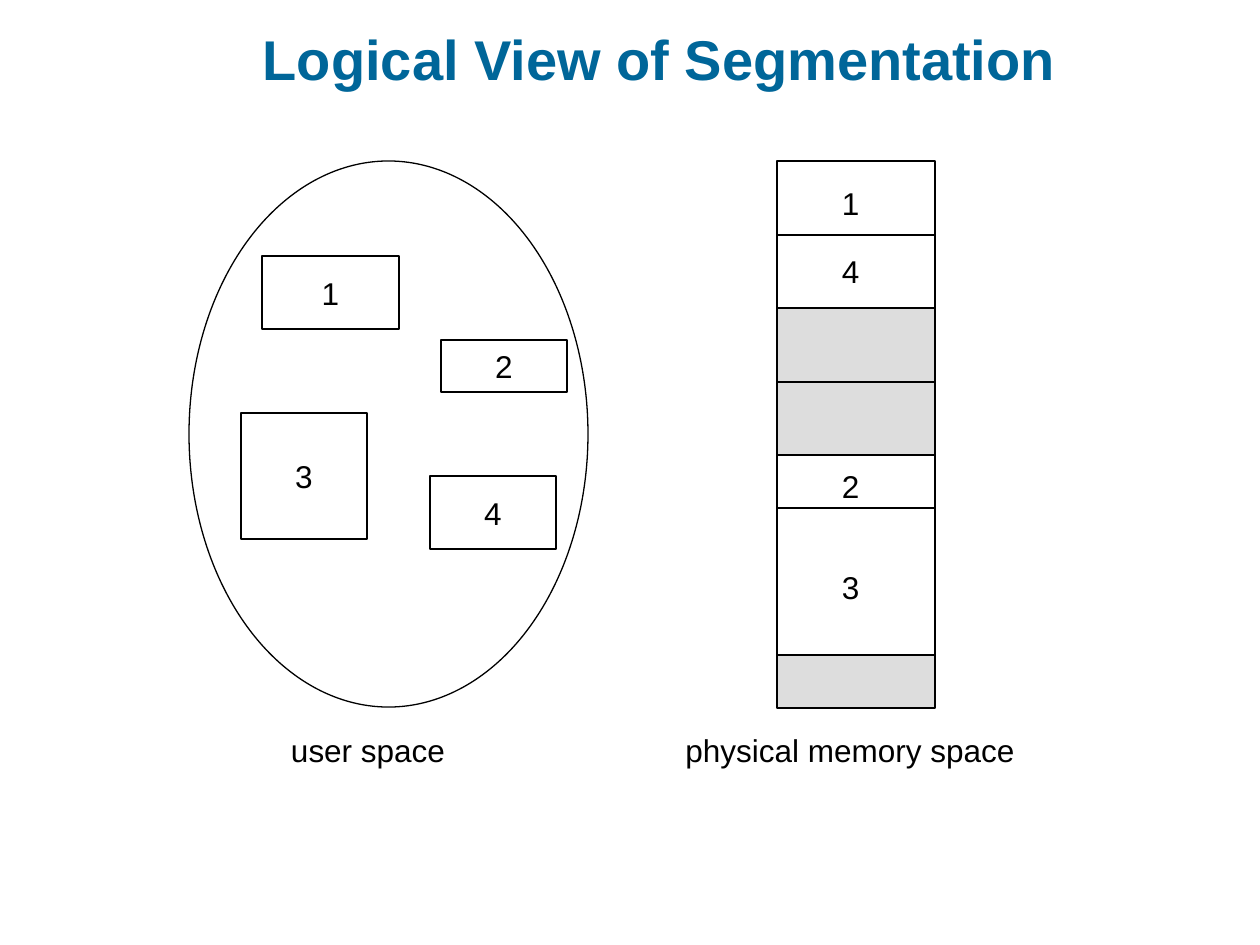
from dataclasses import dataclass

from lxml.etree import SubElement
from pptx import Presentation
from pptx.dml.color import RGBColor
from pptx.enum.shapes import MSO_CONNECTOR as Connector, MSO_SHAPE as Preset
from pptx.enum.text import MSO_ANCHOR as Anchor, MSO_AUTO_SIZE as AutoSize, PP_ALIGN as Align
from pptx.oxml.ns import qn
from pptx.util import Pt

EMU_PER_PX = 914400 / 126


@dataclass(frozen=True)
class Theme:
    font: str = "Arial"
    title_color: RGBColor = RGBColor(0x00, 0x66, 0x99)
    ink: RGBColor = RGBColor(0x00, 0x00, 0x00)
    paper: RGBColor = RGBColor(0xFF, 0xFF, 0xFF)
    occupied: RGBColor = RGBColor(0xDD, 0xDD, 0xDD)
    title_size: Pt = Pt(32)
    body_size: Pt = Pt(18)
    line_width: Pt = Pt(0.75)


def px(*lengths):
    return [round(length * EMU_PER_PX) for length in lengths]


def apply(target, formats):
    for attribute, value in formats.items():
        setattr(target, attribute, value)


class Sketch:
    def __init__(self, theme, slide):
        self.theme = theme
        self.slide = slide
        self.shapes = slide.shapes

    def start_group(self):
        self.shapes = self.slide.shapes.add_group_shape().shapes

    def end_group(self):
        self.shapes = self.slide.shapes

    def set_text(self, holder, wording, frame_formats=None, font_formats=None):
        frame = holder.text_frame
        apply(frame, {"word_wrap": False, "vertical_anchor": Anchor.MIDDLE, **(frame_formats or {})})
        paragraph = frame.paragraphs[0]
        paragraph.alignment = Align.CENTER
        run = paragraph.add_run()
        run.text = wording
        formats = {"name": self.theme.font, "size": self.theme.body_size, **(font_formats or {})}
        apply(run.font, formats)
        run.font.color.rgb = self.theme.title_color if run.font.bold else self.theme.ink

    def title(self, wording, *bounds):
        heading = self.shapes.add_textbox(*px(*bounds))
        self.set_text(
            heading,
            wording,
            {"word_wrap": True, "vertical_anchor": Anchor.BOTTOM},
            {"size": self.theme.title_size, "bold": True},
        )

    def label(self, wording, *bounds):
        caption = self.shapes.add_textbox(*px(*bounds))
        self.set_text(caption, wording, {"auto_size": AutoSize.SHAPE_TO_FIT_TEXT})

    def outline(self, line):
        line.color.rgb = self.theme.ink
        line.width = self.theme.line_width

    def area(self, preset, bounds, fill, wording=None):
        region = self.shapes.add_shape(preset, *px(*bounds))
        region.shadow.inherit = False
        region.fill.solid()
        region.fill.fore_color.rgb = fill
        self.outline(region.line)
        if wording:
            self.set_text(region, wording)

    def divider(self, left, right, y):
        boundary = self.shapes.add_connector(Connector.STRAIGHT, *px(left, y, right, y))
        self.outline(boundary.line)
        SubElement(boundary._element.spPr, qn("a:effectLst"))


def main():
    deck = Presentation()
    apply(deck, dict(zip(("slide_width", "slide_height"), px(1260, 945))))
    theme = Theme()
    sketch = Sketch(theme, deck.slides.add_slide(deck.slide_layouts[6]))

    sketch.title("Logical View of Segmentation", 122, 19, 1075, 79)

    sketch.area(Preset.OVAL, (189, 161, 399, 546), theme.paper)
    user_segments = {
        "1": (262, 256, 137, 73),
        "3": (241, 413, 126, 126),
        "2": (441, 340, 126, 52),
        "4": (430, 476, 126, 73),
    }
    for number, bounds in user_segments.items():
        sketch.area(Preset.RECTANGLE, bounds, theme.paper, number)

    memory_left, memory_width = 777, 158
    memory_blocks = [
        (161, 308, theme.paper),
        (308, 455, theme.occupied),
        (455, 655, theme.paper),
        (655, 708, theme.occupied),
    ]
    sketch.start_group()
    for top, bottom, fill in memory_blocks:
        sketch.area(Preset.RECTANGLE, (memory_left, top, memory_width, bottom - top), fill)
    for y in (235, 382, 508):
        sketch.divider(memory_left, memory_left + memory_width, y)
    for number, top in {"1": 178, "4": 246, "2": 461, "3": 562}.items():
        sketch.label(number, 829, top, 43, 50)
    sketch.end_group()

    sketch.label("user space", 278, 725, 180, 50)
    sketch.label("physical memory space", 673, 725, 354, 50)

    deck.save("out.pptx")


if __name__ == "__main__":
    main()
